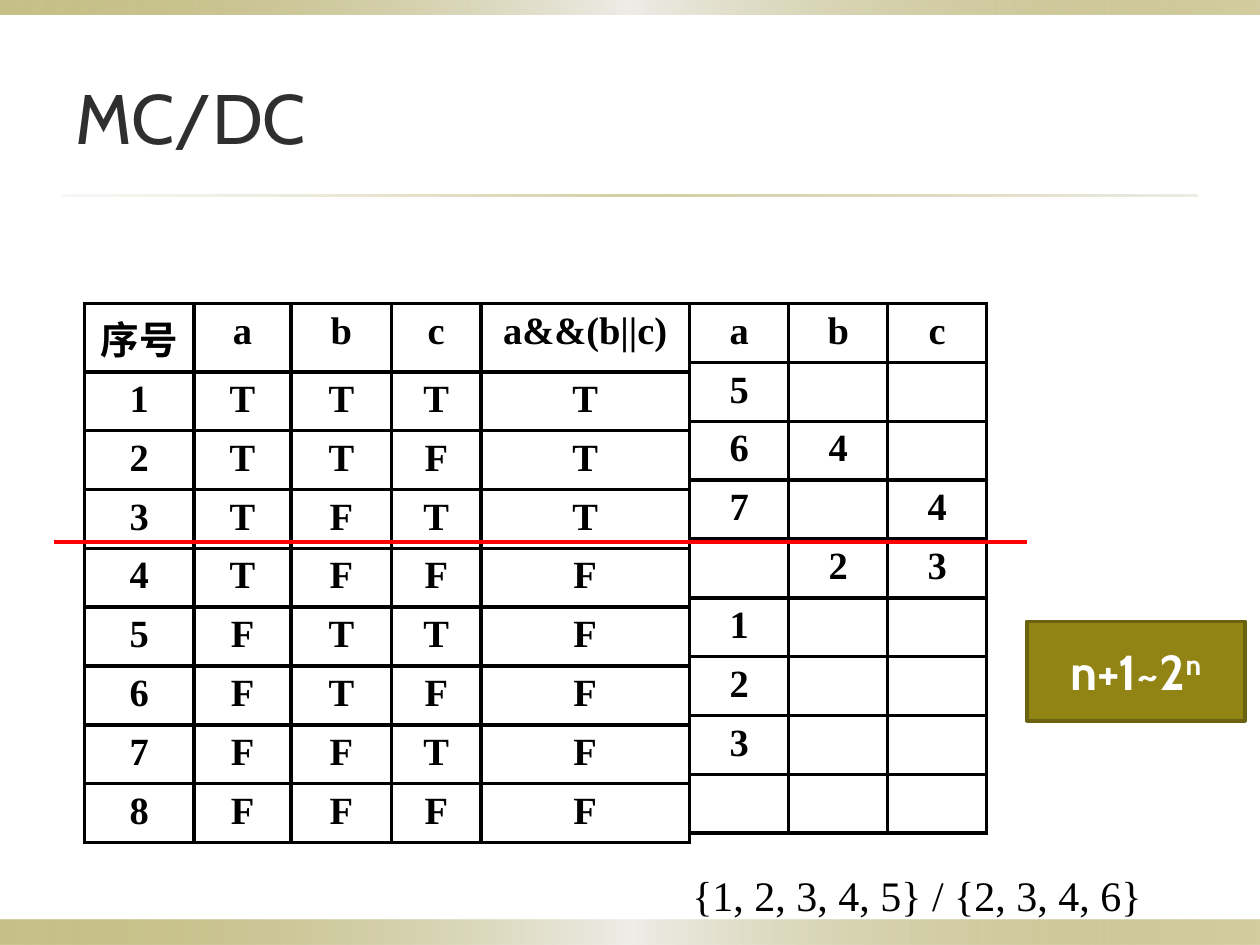
from pptx import Presentation
from pptx.dml.color import RGBColor
from pptx.enum.shapes import MSO_CONNECTOR as Connector, MSO_SHAPE as Shape
from pptx.enum.text import MSO_ANCHOR as Anchor, PP_ALIGN as Align
from pptx.oxml import parse_xml
from pptx.oxml.ns import nsdecls
from pptx.oxml.xmlchemy import OxmlElement
from pptx.util import Pt

BLACK = RGBColor(0x00, 0x00, 0x00)
WHITE = RGBColor(0xFF, 0xFF, 0xFF)
CHARCOAL = RGBColor(0x2F, 0x2F, 0x2F)
OLIVE = RGBColor(0x91, 0x84, 0x15)
DARK_OLIVE = RGBColor(0x6B, 0x62, 0x10)
PALE = RGBColor(0xEE, 0xED, 0xE8)
SAND = RGBColor(0xDC, 0xD9, 0xCC)
RED = RGBColor(0xFF, 0x00, 0x00)

SANS, SERIF = "Cabin", "Times New Roman"
BAND_STOPS = [(0, OLIVE, 50), (50, PALE, 100), (100, OLIVE, 40)]
RULE_STOPS = [(0, SAND, 20), (50, OLIVE, 40), (100, SAND, 50)]

ROW_HEIGHT = 33.6
TRUTH_HEADER_HEIGHT = 39
TRUTH_WIDTHS = [62.6, 55.6, 57.4, 51.1, 119.2]
PAIR_WIDTHS = [56.6] * 3
TRUTH_ROWS = [["序号", "a", "b", "c", "a&&(b||c)"]] + [
    [str(number), *values]
    for number, values in enumerate(
        ["TTTT", "TTFT", "TFTT", "TFFF", "FTTF", "FTFF", "FFTF", "FFFF"], start=1
    )
]
PAIR_ROWS = [
    ["a", "b", "c"],
    ["5", "", ""],
    ["6", "4", ""],
    ["7", "", "4"],
    ["", "2", "3"],
    ["1", "", ""],
    ["2", "", ""],
    ["3", "", ""],
    ["", "", ""],
]


def points(*lengths):
    """Turn numbers into point lengths."""
    return [Pt(length) for length in lengths]


def write(para, text, size, font, color, bold=False, align=Align.LEFT, baseline=0):
    """Add one formatted span to a paragraph."""
    para.alignment = align
    span = para.add_run()
    span.text = text
    span.font.size = Pt(size)
    span.font.name = font
    span.font.bold = bold
    span.font.color.rgb = color
    if baseline:
        span.font._element.set("baseline", str(baseline * 1000))


def add_gradient_bar(page, box, stops):
    """Place a borderless bar with a horizontal translucent gradient."""
    bar = page.shapes.add_shape(Shape.RECTANGLE, *points(*box))
    bar.shadow.inherit = False
    bar.line.fill.background()
    marks = "".join(
        f'<a:gs pos="{place * 1000}"><a:srgbClr val="{color}">'
        f'<a:alpha val="{opacity * 1000}"/></a:srgbClr></a:gs>'
        for place, color, opacity in stops
    )
    gradient = parse_xml(
        f'<a:gradFill {nsdecls("a")} rotWithShape="1"><a:gsLst>{marks}</a:gsLst>'
        '<a:lin ang="0" scaled="0"/></a:gradFill>'
    )
    bar._element.spPr.insert(2, gradient)


def add_frame(page, box):
    """Place the top and bottom bands and the rule below the title."""
    left, top, width, height = box
    add_gradient_bar(page, (left, top + height - 14.4, width, 14.4), BAND_STOPS)
    add_gradient_bar(page, (left, top, width, 8.6), BAND_STOPS)
    add_gradient_bar(page, (left + 36, top + 111.2, width - 72, 1.4), RULE_STOPS)


def add_text(page, box, text, inset=7.2, **style):
    """Place a vertically centred text box with the given side insets."""
    frame = page.shapes.add_textbox(*points(*box)).text_frame
    frame.word_wrap = True
    frame.margin_left = frame.margin_right = Pt(inset)
    frame.vertical_anchor = Anchor.MIDDLE
    write(frame.paragraphs[0], text, **style)


def outline_cell(cell):
    """Draw a black border on all four sides of a cell."""
    properties = cell._tc.get_or_add_tcPr()
    for index, side in enumerate(("lnL", "lnR", "lnT", "lnB")):
        border = parse_xml(
            f'<a:{side} {nsdecls("a")} w="{Pt(2.25)}"><a:solidFill>'
            f'<a:srgbClr val="{BLACK}"/></a:solidFill></a:{side}>'
        )
        properties.insert(index, border)


def add_grid(page, left, top, widths, rows, header_height=ROW_HEIGHT):
    """Place a plain bordered table with centred bold text."""
    heights = [header_height] + [ROW_HEIGHT] * (len(rows) - 1)
    size = points(left, top, sum(widths), sum(heights))
    table = page.shapes.add_table(len(rows), len(widths), *size).table
    table.first_row = table.horz_banding = False
    for column, width in zip(table.columns, widths):
        column.width = Pt(width)
    for row, height, texts in zip(table.rows, heights, rows):
        row.height = Pt(height)
        for cell, text in zip(row.cells, texts):
            cell.fill.background()
            outline_cell(cell)
            para = cell.text_frame.paragraphs[0]
            if text:
                write(para, text, 22, SERIF, BLACK, bold=True, align=Align.CENTER)


def add_divider(page, left, top, width):
    """Draw the red line across both tables."""
    line = page.shapes.add_connector(
        Connector.STRAIGHT, *points(left, top, left + width, top)
    )
    line.line.color.rgb = RED
    line.line.width = Pt(2)
    line._element.spPr.append(OxmlElement("a:effectLst"))


def add_bound(page, box):
    """Place the olive label with the range of test counts."""
    label = page.shapes.add_shape(Shape.RECTANGLE, *points(*box))
    label.shadow.inherit = False
    label.fill.solid()
    label.fill.fore_color.rgb = OLIVE
    label.line.color.rgb = DARK_OLIVE
    label.line.width = Pt(2)
    label.text_frame.vertical_anchor = Anchor.MIDDLE
    para = label.text_frame.paragraphs[0]
    for text, baseline in (("n+1~2", 0), ("n", 30)):
        write(para, text, 28, SANS, WHITE, bold=True, align=Align.CENTER, baseline=baseline)


def build_page(page, box):
    """Lay out the whole page inside the given box."""
    left, top, width, height = box
    tables_left, tables_top = left + 48.2, top + 173.5
    add_frame(page, box)
    add_text(page, (left + 36, top + 21.6, width - 72, 90), "MC/DC",
             size=40, font=SANS, color=CHARCOAL)
    add_grid(page, tables_left, tables_top, TRUTH_WIDTHS, TRUTH_ROWS, TRUTH_HEADER_HEIGHT)
    add_grid(page, tables_left + sum(TRUTH_WIDTHS), tables_top, PAIR_WIDTHS, PAIR_ROWS)
    add_text(page, (left + 394, top + 497, 260, 28), "{1, 2, 3, 4, 5} / {2, 3, 4, 6}",
             inset=0, size=24, font=SERIF, color=BLACK, align=Align.CENTER)
    add_divider(page, left + 31, top + 309.6, 555.8)
    add_bound(page, (left + 586.8, top + 355, 124.6, 56.9))


def main():
    """Build the deck and save it."""
    deck = Presentation()
    deck.slide_width, deck.slide_height = points(720, 540)
    page = deck.slides.add_slide(deck.slide_layouts[6])
    build_page(page, (0, 0, 720, 540))
    deck.save("out.pptx")


if __name__ == "__main__":
    main()
